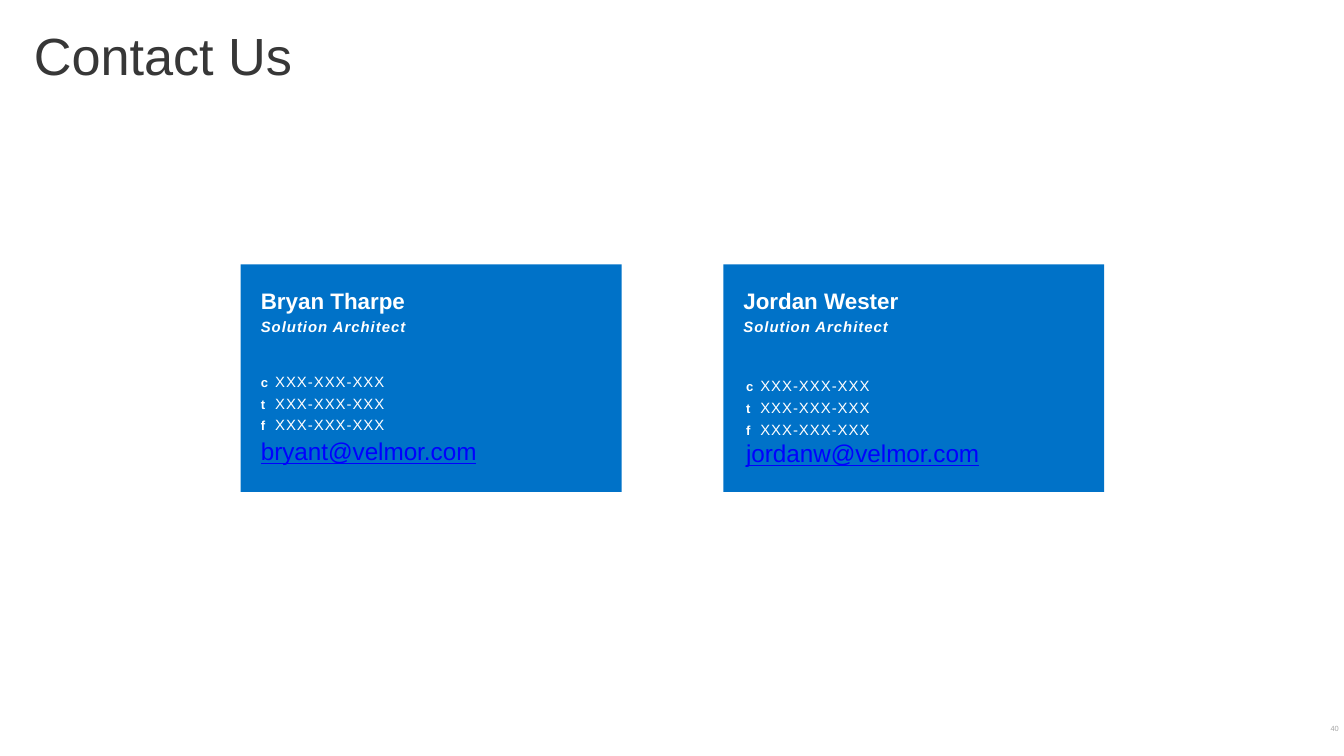
"""Build the Contact Us slide with two business cards."""
import pptx
import pptx.dml.color
import pptx.enum.shapes
import pptx.enum.text
import pptx.oxml
import pptx.oxml.ns
import pptx.util

Cm, Pt = pptx.util.Cm, pptx.util.Pt
ANCHOR = pptx.enum.text.MSO_ANCHOR
COLORS = {"card": "0072C8", "light": "FFFFFF", "title": "373737", "number": "A6A6A6", "mail": "0000FF"}
CONTACTS = [
    ("Bryan Tharpe", "bryant@velmor.com", 4.55, 4.93, 8.81, 0.9, 3),
    ("Jordan Wester", "jordanw@velmor.com", 13.67, 14.1, 8.84, 1.0, 0),
]
CARD_TOP, CARD_WIDTH, CARD_HEIGHT = 5, 7.2, 4.3
DETAILS_HEIGHT = 2.1


def add_text(shapes, left, top, width, height, text, inset=0, anchor=ANCHOR.TOP):
    frame = shapes.add_textbox(Cm(left), Cm(top), Cm(width), Cm(height)).text_frame
    frame.word_wrap = True
    frame.vertical_anchor = anchor
    frame.margin_left = frame.margin_top = frame.margin_right = frame.margin_bottom = Cm(inset)
    frame.text = text
    for paragraph in frame.paragraphs:
        paragraph.line_spacing = 0.9
    return frame


def style(run, size, color, bold=False, italic=False, spacing=0):
    run.font.name = "Arial"
    run.font.size = Pt(size)
    run.font.bold = bold
    run.font.italic = italic
    run.font.color.rgb = pptx.dml.color.RGBColor.from_string(COLORS[color])
    if spacing:
        run._r.get_or_add_rPr().set("spc", str(spacing))


deck = pptx.Presentation()
deck.slide_width, deck.slide_height = Cm(25.4), Cm(14.29)
slide = deck.slides.add_slide(deck.slide_layouts[6])

title = add_text(slide.shapes, 0.64, 0.58, 24.13, 1.42, "Contact Us")
style(title.paragraphs[0].runs[0], 28, "title")

for name, mail, card_left, details_left, details_bottom, mail_spacing, mail_before in CONTACTS:
    group = slide.shapes.add_group_shape()
    card = group.shapes.add_shape(
        pptx.enum.shapes.MSO_SHAPE.RECTANGLE, Cm(card_left), Cm(CARD_TOP), Cm(CARD_WIDTH), Cm(CARD_HEIGHT))
    card.shadow.inherit = False
    card.fill.solid()
    card.fill.fore_color.rgb = pptx.dml.color.RGBColor.from_string(COLORS["card"])
    card.line.fill.background()

    heading = add_text(group.shapes, card_left, CARD_TOP, CARD_WIDTH, 1.75,
                       f"{name}\nSolution Architect", inset=0.38)
    person, role = heading.paragraphs
    person.line_spacing = Pt(16)
    role.space_before = Pt(3)
    style(person.runs[0], 12, "light", bold=True)
    style(role.runs[0], 8, "light", bold=True, italic=True, spacing=50)

    details = add_text(slide.shapes, details_left, details_bottom - DETAILS_HEIGHT, CARD_WIDTH, DETAILS_HEIGHT,
                       f"c\nt\nf\n{mail}", anchor=ANCHOR.BOTTOM)
    *phones, address = details.paragraphs
    for phone in phones:
        phone.space_before = Pt(3)
        style(phone.runs[0], 7, "light", bold=True, spacing=50)
        number = phone.add_run()
        number.text = "\tXXX-XXX-XXX"
        style(number, 8, "light", spacing=50)
        tabs = pptx.oxml.parse_xml(
            f'<a:tabLst {pptx.oxml.ns.nsdecls("a")}><a:tab pos="{Cm(0.27)}" algn="l"/></a:tabLst>')
        phone._p.get_or_add_pPr().append(tabs)
    address.line_spacing = mail_spacing
    address.space_before = Pt(mail_before)
    style(address.runs[0], 13, "mail")
    address.runs[0].font.underline = True

page = add_text(slide.shapes, 19.38, 13.56, 5.92, 0.43, "40", anchor=ANCHOR.MIDDLE)
page.paragraphs[0].alignment = pptx.enum.text.PP_ALIGN.RIGHT
style(page.paragraphs[0].runs[0], 4, "number")

deck.save("out.pptx")
